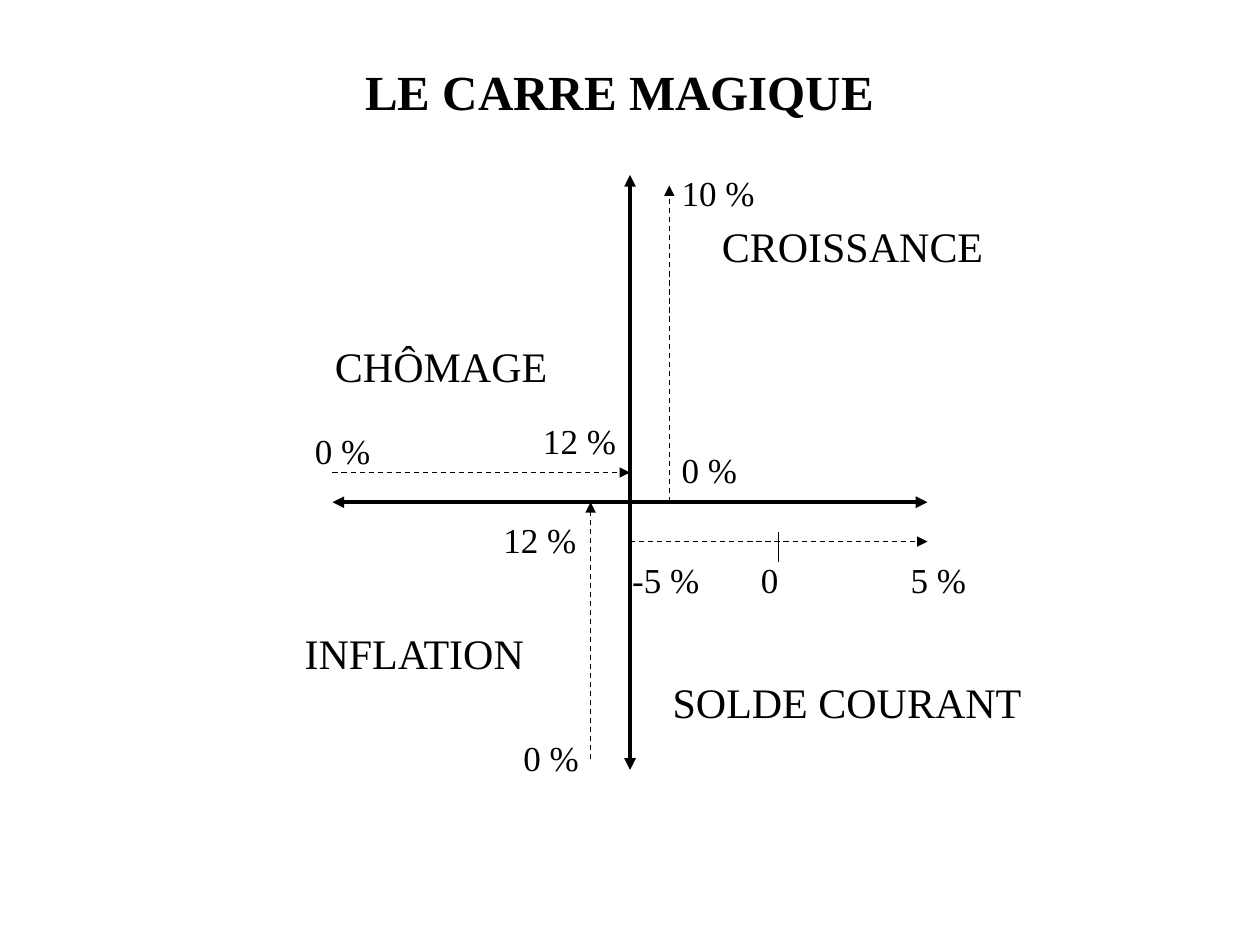
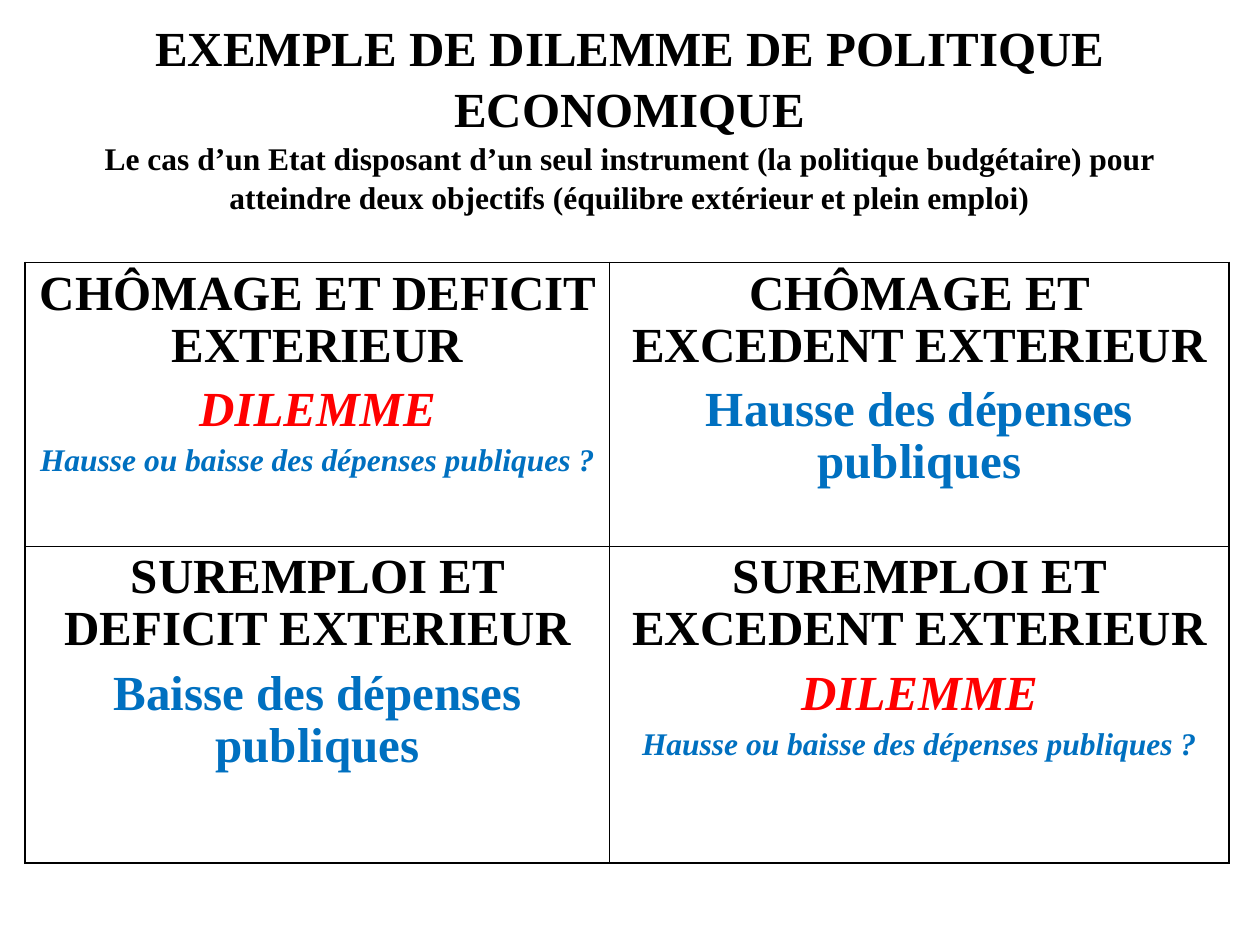
from lxml import etree
from pptx import Presentation
from pptx.dml.color import RGBColor
from pptx.enum import dml, shapes, text
from pptx.oxml import ns
from pptx.util import Pt

FONT = "Times New Roman"
INK = {"black": "000000", "red": "FF0000", "blue": "0070C0"}
MID_X, MID_Y = 360, 287
THICK, THIN = 1.08, 0.45
DILEMMA = [("DILEMME", 28, "red", True),
           ("Hausse ou baisse des dépenses publiques ?", 18, "blue", True)]


def add_run(para, words, size, ink="black", bold=False, slant=False):
    run = para.add_run()
    run.text = words
    font = run.font
    font.name, font.size, font.bold, font.italic = FONT, Pt(size), bold, slant
    font.color.rgb = RGBColor.from_string(INK[ink])


def add_box(slide, left, top, width, height):
    frame = slide.shapes.add_textbox(Pt(left), Pt(top), Pt(width), Pt(height)).text_frame
    frame.word_wrap = True
    return frame


def add_title(slide, place, parts, pitch=1.0):
    """Centre a bold heading; each (words, size) part starts on a new line."""
    frame = add_box(slide, *place)
    frame.vertical_anchor = text.MSO_ANCHOR.MIDDLE
    for i, (words, size) in enumerate(parts):
        para = frame.add_paragraph() if i else frame.paragraphs[0]
        para.alignment = text.PP_ALIGN.CENTER
        para.line_spacing = pitch
        add_run(para, words, size, bold=True)


def add_label(slide, words, left, top, width, size):
    frame = add_box(slide, left, top, width, size * 1.2 + 7.2)
    add_run(frame.paragraphs[0], words, size)


def add_line(slide, start, end, width=0.75, dash=False, heads=()):
    """Draw a black line; heads lists the arrow ends, 'head' at start, 'tail' at end."""
    line = slide.shapes.add_connector(
        shapes.MSO_CONNECTOR.STRAIGHT, *(Pt(v) for v in (*start, *end)))
    line.line.color.rgb = RGBColor.from_string(INK["black"])
    line.line.width = Pt(width)
    if dash:
        line.line.dash_style = dml.MSO_LINE.DASH
    pen = line.line._get_or_add_ln()
    for name in heads:
        etree.SubElement(pen, ns.qn(f"a:{name}End"), type="triangle")
    etree.SubElement(line._element.spPr, ns.qn("a:effectLst"))


def add_edge(cell, side, width):
    pen = etree.SubElement(cell._tc.get_or_add_tcPr(), ns.qn(f"a:ln{side}"),
                           w=str(Pt(width)))
    fill = etree.SubElement(pen, ns.qn("a:solidFill"))
    etree.SubElement(fill, ns.qn("a:srgbClr"), val=INK["black"])


def fill_cell(cell, lines):
    for i, (words, size, ink, slant) in enumerate(lines):
        para = cell.text_frame.add_paragraph() if i else cell.text_frame.paragraphs[0]
        para.alignment = text.PP_ALIGN.CENTER
        para.line_spacing = 0.96
        if i:
            para.space_before = Pt(size / 4)
        add_run(para, words, size, ink, True, slant)


def add_grid(slide, left, top, cols, rows, cells):
    """Build an unfilled table with a thick outline and thin inner lines."""
    grid = slide.shapes.add_table(len(rows), len(cols), Pt(left), Pt(top),
                                  Pt(sum(cols)), Pt(sum(rows))).table
    grid.first_row = grid.horz_banding = False
    for col, width in zip(grid.columns, cols):
        col.width = Pt(width)
    for row, height in zip(grid.rows, rows):
        row.height = Pt(height)
    for r, line in enumerate(cells):
        for c, lines in enumerate(line):
            cell = grid.cell(r, c)
            outer = {"L": c == 0, "R": c == len(cols) - 1,
                     "T": r == 0, "B": r == len(rows) - 1}
            for side, edge in outer.items():
                add_edge(cell, side, THICK if edge else THIN)
            cell.fill.background()
            fill_cell(cell, lines)


def draw_square(slide):
    add_title(slide, (48, 20, 612, 63.5), [("LE CARRE MAGIQUE", 28)])
    both = ("head", "tail")
    add_line(slide, (190, MID_Y), (530, MID_Y), 2.25, heads=both)
    add_line(slide, (MID_X, 100), (MID_X, 440), 2.25, heads=both)
    scales = [((382.5, MID_Y), (382.5, 106)),
              ((190, 270), (MID_X, 270)),
              ((MID_X, 309.5), (530, 309.5)),
              ((337.5, 434), (337.5, MID_Y))]
    for start, end in scales:
        add_line(slide, start, end, dash=True, heads=("tail",))
    add_line(slide, (445, 304), (445, 321))

    goals = [("CROISSANCE", 405.4, 122.4, 164), ("CHÔMAGE", 184.3, 190.8, 148),
             ("INFLATION", 167, 355, 153), ("SOLDE COURANT", 377.3, 383.2, 221)]
    for goal in goals:
        add_label(slide, *goal, size=24)
    marks = [("-5 %", 354.2, 315.5), ("0", 427.7, 315.5), ("5 %", 513.2, 315.5),
             ("10 %", 382.4, 94.3), ("0 %", 382.4, 252.7),
             ("0 %", 172.8, 241.7), ("12 %", 303.2, 236),
             ("0 %", 292, 417.4), ("12 %", 280.6, 292.5)]
    for mark in marks:
        add_label(slide, *mark, width=63, size=20)


def draw_dilemma(slide):
    add_title(slide, (19.5, 16.5, 680.5, 99), [
        ("EXEMPLE DE DILEMME DE POLITIQUE ECONOMIQUE", 28),
        ("Le cas d’un Etat disposant d’un seul instrument (la politique budgétaire) "
         "pour atteindre deux objectifs (équilibre extérieur et plein emploi)", 18)],
        1.04)

    def case(words):
        return (words, 28, "black", False)

    def cure(way):
        return (f"{way} des dépenses publiques", 28, "blue", False)

    add_grid(slide, 14.4, 150, (334, 354), (162, 181), [
        [[case("CHÔMAGE ET DEFICIT EXTERIEUR"), *DILEMMA],
         [case("CHÔMAGE ET EXCEDENT EXTERIEUR"), cure("Hausse")]],
        [[case("SUREMPLOI ET DEFICIT EXTERIEUR"), cure("Baisse")],
         [case("SUREMPLOI ET EXCEDENT EXTERIEUR"), *DILEMMA]]])


def main():
    deck = Presentation()
    deck.slide_width, deck.slide_height = Pt(720), Pt(540)
    for draw in (draw_square, draw_dilemma):
        draw(deck.slides.add_slide(deck.slide_layouts[6]))
    deck.save("out.pptx")


if __name__ == "__main__":
    main()
